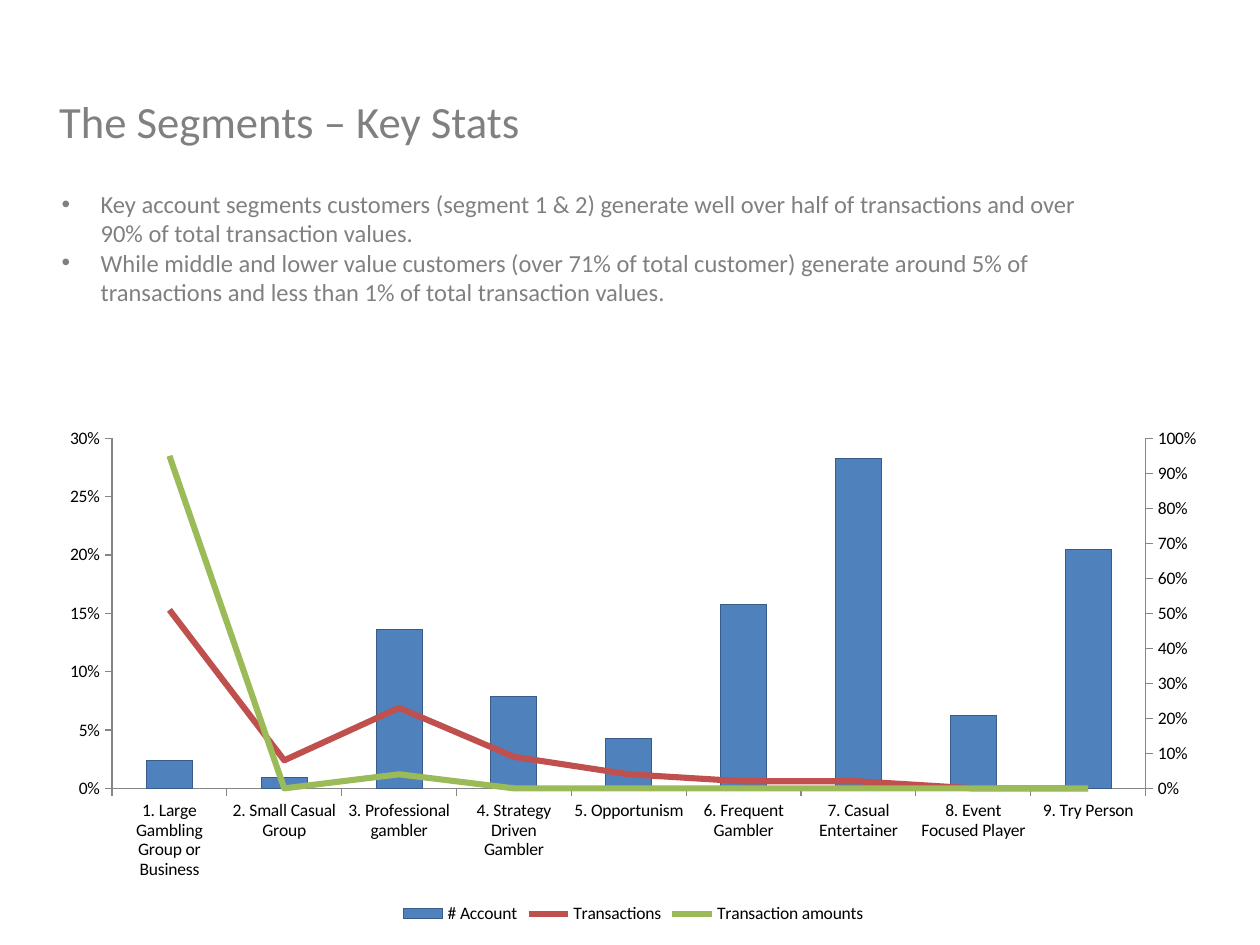
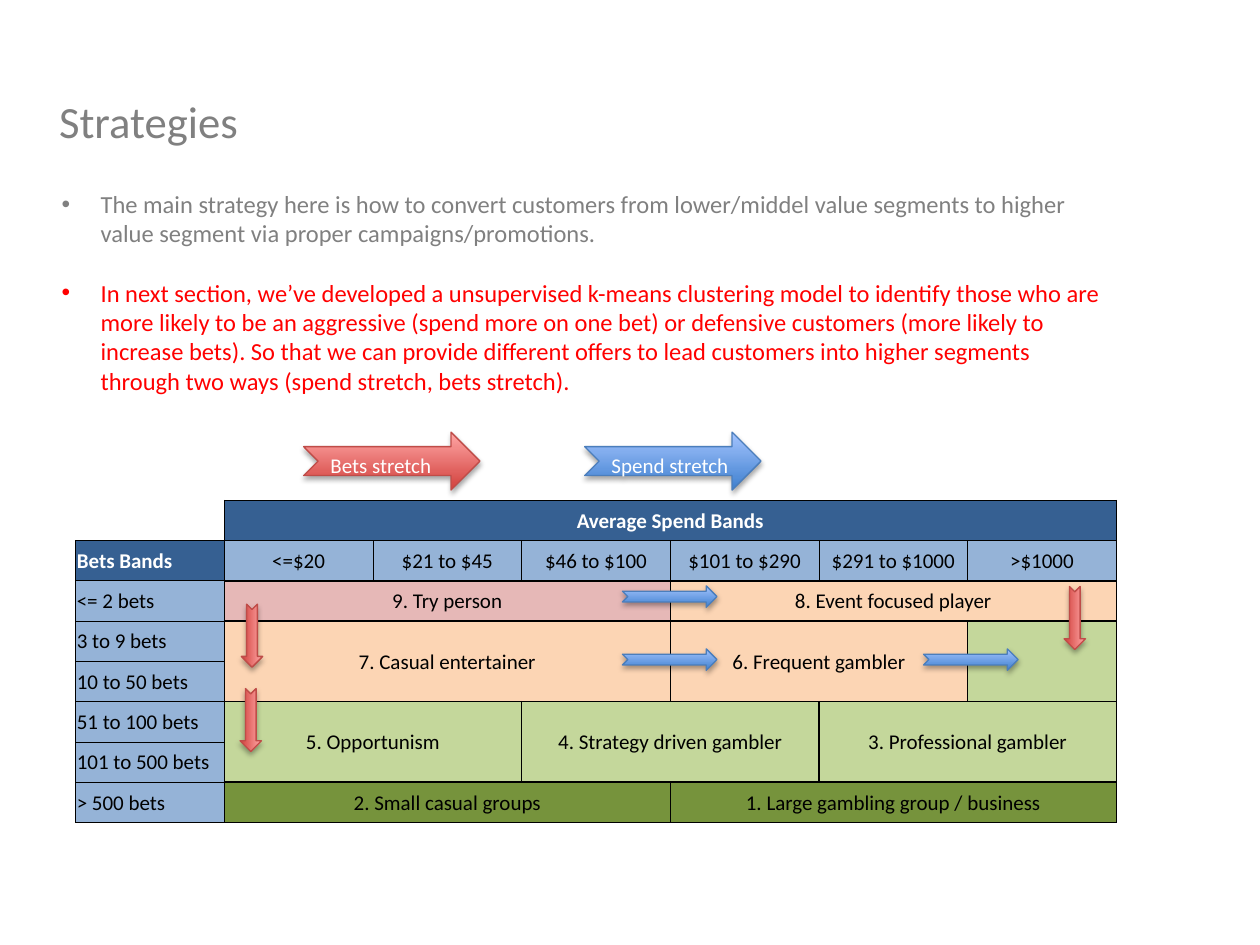
from dataclasses import dataclass

from lxml import etree
from pptx import Presentation
from pptx.chart.data import CategoryChartData
from pptx.dml.color import RGBColor
from pptx.enum.chart import XL_CHART_TYPE, XL_LEGEND_POSITION, XL_MARKER_STYLE, XL_TICK_MARK
from pptx.enum.shapes import MSO_SHAPE
from pptx.enum.text import MSO_ANCHOR, MSO_AUTO_SIZE, PP_ALIGN
from pptx.oxml import parse_xml
from pptx.oxml.ns import nsdecls, qn
from pptx.util import Inches, Pt

COLUMNS = XL_CHART_TYPE.COLUMN_CLUSTERED
BOTTOM = XL_LEGEND_POSITION.BOTTOM
NO_MARKER = XL_MARKER_STYLE.NONE
TICK_OUT, TICK_NONE = XL_TICK_MARK.OUTSIDE, XL_TICK_MARK.NONE
ARROW = MSO_SHAPE.NOTCHED_RIGHT_ARROW
TOP, MIDDLE = MSO_ANCHOR.TOP, MSO_ANCHOR.MIDDLE
GROW = MSO_AUTO_SIZE.SHAPE_TO_FIT_TEXT
LEFT, CENTER = PP_ALIGN.LEFT, PP_ALIGN.CENTER


@dataclass(frozen=True)
class Theme:
    font: str = "Calibri"
    title_size: int = 44
    body_size: int = 14
    table_size: int = 12
    chart_size: int = 10
    grey: str = "808080"
    red: str = "FF0000"
    black: str = "000000"
    white: str = "FFFFFF"
    axis: str = "868686"
    bar: str = "4F81BD"
    bar_edge: str = "385D8A"
    line_colors: tuple = ("C0504D", "9BBB59")
    header: str = "366092"
    label: str = "95B3D7"
    pink: str = "E6B8B7"
    peach: str = "FCD5B4"
    light_green: str = "C4D79B"
    green: str = "76933C"
    bets_arrow: tuple = ("D1403C", "FFA6A5", "BF4C48")
    spend_arrow: tuple = ("3F80CE", "A4C4FF", "4B7EBC")


THEME = Theme()

SEGMENTS = ["1. Large Gambling Group or Business", "2. Small Casual Group",
            "3. Professional gambler", "4. Strategy Driven Gambler",
            "5. Opportunism", "6. Frequent Gambler", "7. Casual Entertainer",
            "8. Event Focused Player", "9. Try Person"]
STATS = {
    "# Account": (0.024, 0.009, 0.136, 0.079, 0.043, 0.158, 0.283, 0.062, 0.205),
    "Transactions": (0.51, 0.08, 0.23, 0.09, 0.04, 0.02, 0.02, 0, 0),
    "Transaction amounts": (0.95, 0, 0.04, 0, 0, 0, 0, 0, 0),
}
SPEND_BANDS = ["<=$20", "$21 to $45", "$46 to $100", "$101 to $290", "$291 to $1000", ">$1000"]
BETS_BANDS = ["<= 2 bets", "3 to 9 bets", "10 to 50 bets", "51 to 100 bets",
              "101 to 500 bets", "> 500 bets"]
SEGMENT_CELLS = [
    (2, 1, 1, 3, "9. Try person", THEME.pink),
    (2, 4, 1, 3, "8. Event focused player", THEME.peach),
    (3, 1, 2, 3, "7. Casual entertainer", THEME.peach),
    (3, 4, 2, 2, "6. Frequent gambler", THEME.peach),
    (3, 6, 2, 1, "", THEME.light_green),
    (5, 1, 2, 2, "5. Opportunism", THEME.light_green),
    (5, 3, 2, 2, "4. Strategy driven gambler", THEME.light_green),
    (5, 5, 2, 2, "3. Professional gambler", THEME.light_green),
    (7, 1, 1, 3, "2. Small casual groups", THEME.green),
    (7, 4, 1, 3, "1. Large gambling group / business", THEME.green),
]


def rgb(color):
    return RGBColor.from_string(color)


def set_font(font, size, color, bold=False):
    font.name = THEME.font
    font.size = Pt(size)
    font.bold = bold
    font.color.rgb = rgb(color)


def add_text_box(page, left, top, width, height):
    box = page.shapes.add_textbox(Inches(left), Inches(top), Inches(width), Inches(height))
    box.text_frame.word_wrap = True
    return box.text_frame


def add_title(page, text):
    para = add_text_box(page, 0.37, 0.62, 6.39, 0.43).paragraphs[0]
    span = para.add_run()
    span.text = text
    span._r.get_or_add_rPr().set("baseline", "30000")
    set_font(para.font, THEME.title_size, THEME.grey)


def add_bullets(page, height, items, gap=0):
    frame = add_text_box(page, 0.39, 1.45, 8.48, height)
    frame.auto_size = GROW
    for index, (text, color) in enumerate(items):
        para = frame.add_paragraph() if index else frame.paragraphs[0]
        para.text = text
        properties = para._p.get_or_add_pPr()
        properties.set("marL", str(Inches(0.31)))
        properties.set("indent", str(-Inches(0.31)))
        etree.SubElement(properties, qn("a:buFont")).set("typeface", "Arial")
        etree.SubElement(properties, qn("a:buChar")).set("char", "•")
        para.space_before = Pt(gap if index else 0)
        set_font(para.font, THEME.body_size, color)


def style_axis(axis):
    axis.has_major_gridlines = False
    axis.major_tick_mark = TICK_OUT
    axis.minor_tick_mark = TICK_NONE
    axis.format.line.color.rgb = rgb(THEME.axis)


def move_lines_to_right_axis(chart):
    plot_area = chart._chartSpace.chart.plotArea
    bars = plot_area.find(qn("c:barChart"))
    lines = parse_xml(
        f'<c:lineChart {nsdecls("c")}><c:grouping val="standard"/><c:varyColors val="0"/>'
        '<c:marker val="1"/><c:axId val="5001"/><c:axId val="5002"/></c:lineChart>')
    line_marker = lines.find(qn("c:marker"))
    for series in bars.findall(qn("c:ser"))[1:]:
        for bar_setting in series.findall(qn("c:invertIfNegative")):
            series.remove(bar_setting)
        line_marker.addprevious(series)
    bars.addnext(lines)
    last_axis = plot_area.find(qn("c:valAx"))
    hidden = (
        f'<c:catAx {nsdecls("c")}><c:axId val="5001"/><c:scaling><c:orientation val="minMax"/>'
        '</c:scaling><c:delete val="1"/><c:axPos val="b"/><c:crossAx val="5002"/>'
        '<c:crosses val="autoZero"/></c:catAx>')
    right = (
        f'<c:valAx {nsdecls("c", "a")}><c:axId val="5002"/><c:scaling>'
        '<c:orientation val="minMax"/></c:scaling><c:delete val="0"/><c:axPos val="r"/>'
        '<c:numFmt formatCode="0%" sourceLinked="0"/><c:majorTickMark val="out"/>'
        '<c:minorTickMark val="none"/><c:tickLblPos val="nextTo"/><c:spPr><a:ln><a:solidFill>'
        f'<a:srgbClr val="{THEME.axis}"/></a:solidFill></a:ln></c:spPr>'
        '<c:crossAx val="5001"/><c:crosses val="max"/></c:valAx>')
    for axis in (right, hidden):
        last_axis.addnext(parse_xml(axis))


def add_stats_chart(page):
    data = CategoryChartData(number_format="0%")
    data.categories = SEGMENTS
    for name, values in STATS.items():
        data.add_series(name, values)
    chart = page.shapes.add_chart(COLUMNS, Inches(0.37), Inches(3.32), Inches(9.31),
                                  Inches(4.05), data).chart
    set_font(chart.font, THEME.chart_size, THEME.black)
    chart.has_title = False
    chart.has_legend = True
    chart.legend.position = BOTTOM
    chart.legend.include_in_layout = False
    style_axis(chart.category_axis)
    style_axis(chart.value_axis)
    chart.value_axis.tick_labels.number_format = "0%"
    chart.value_axis.tick_labels.number_format_is_linked = False
    move_lines_to_right_axis(chart)

    bars, lines = chart.plots
    bars.gap_width = 150
    bars.vary_by_categories = False
    bar_format = bars.series[0].format
    bar_format.fill.solid()
    bar_format.fill.fore_color.rgb = rgb(THEME.bar)
    bar_format.line.color.rgb = rgb(THEME.bar_edge)
    for series, color in zip(lines.series, THEME.line_colors):
        series.smooth = False
        series.marker.style = NO_MARKER
        series.format.line.width = Pt(3.5)
        series.format.line.color.rgb = rgb(color)


def set_borders(cell, width, sides):
    properties = cell._tc.get_or_add_tcPr()
    for index, side in enumerate(sides):
        properties.insert(index, parse_xml(
            f'<a:ln{side} {nsdecls("a")} w="{Pt(width)}"><a:solidFill>'
            f'<a:srgbClr val="{THEME.black}"/></a:solidFill></a:ln{side}>'))


def prepare_cell(cell):
    cell.margin_left = cell.margin_right = cell.margin_top = Inches(0.01)
    cell.margin_bottom = 0
    cell.vertical_anchor = MIDDLE
    cell.fill.background()


def fill_cells(table, row, column, rows, columns, text, fill, align=CENTER,
               color=THEME.black, bold=False, border=0.5):
    origin = table.cell(row, column)
    for down in range(rows):
        for across in range(columns):
            cell = table.cell(row + down, column + across)
            cell.fill.solid()
            cell.fill.fore_color.rgb = rgb(fill)
            set_borders(cell, border, "LRTB")
    if rows * columns > 1:
        origin.merge(table.cell(row + rows - 1, column + columns - 1))
    para = origin.text_frame.paragraphs[0]
    if text:
        para.text = text
    para.alignment = align
    set_font(para.font, THEME.table_size, color, bold)


def add_band_table(page):
    table = page.shapes.add_table(8, 7, Inches(0.6), Inches(3.97), Inches(8.26),
                                  Inches(2.56)).table
    table.first_row = table.horz_banding = False
    for column in table.columns:
        column.width = Inches(1.18)
    for row in table.rows:
        row.height = Inches(0.32)
    for cell in table.iter_cells():
        prepare_cell(cell)
    set_borders(table.cell(0, 0), 0.5, "RB")
    fill_cells(table, 0, 1, 1, 6, "Average Spend Bands", THEME.header,
               color=THEME.white, bold=True)
    fill_cells(table, 1, 0, 1, 1, "Bets Bands", THEME.header, LEFT, THEME.white, True)
    for column, text in enumerate(SPEND_BANDS, 1):
        fill_cells(table, 1, column, 1, 1, text, THEME.label)
    for row, text in enumerate(BETS_BANDS, 2):
        fill_cells(table, row, 0, 1, 1, text, THEME.label, LEFT)
    for segment in SEGMENT_CELLS:
        fill_cells(table, *segment, border=1)


def add_arrow(page, left, top, width, height, colors, rotation=0, text=""):
    arrow = page.shapes.add_shape(ARROW, Inches(left), Inches(top), Inches(width),
                                  Inches(height))
    arrow.rotation = rotation
    dark, light, edge = colors
    arrow.fill.gradient()
    arrow.fill.gradient_angle = 90
    for stop, color in zip(arrow.fill.gradient_stops, (dark, light)):
        stop.color.rgb = rgb(color)
    arrow.line.color.rgb = rgb(edge)
    arrow.line.width = Pt(0.75)
    arrow.shadow.inherit = False
    arrow._element.spPr.find(qn("a:effectLst")).append(parse_xml(
        f'<a:outerShdw {nsdecls("a")} blurRad="{Pt(3.1)}" dist="{Pt(1.8)}" dir="5400000" '
        f'rotWithShape="0"><a:srgbClr val="{THEME.black}"><a:alpha val="35000"/>'
        '</a:srgbClr></a:outerShdw>'))
    if text:
        arrow.text_frame.vertical_anchor = TOP
        para = arrow.text_frame.paragraphs[0]
        para.text = text
        para.alignment = LEFT
        set_font(para.font, THEME.table_size, THEME.white)


def build_stats_page(page):
    add_title(page, "The Segments – Key Stats")
    add_stats_chart(page)
    add_bullets(page, 1.28, [
        ("Key account segments customers (segment 1 & 2) generate well over half of "
         "transactions and over 90% of total transaction values.", THEME.grey),
        ("While middle and lower value customers (over 71% of total customer) generate around "
         "5% of transactions and less than 1% of total transaction values.", THEME.grey)])


def build_strategies_page(page):
    add_title(page, "Strategies")
    add_bullets(page, 1.99, [
        ("The main strategy here is how to convert customers from lower/middel value segments "
         "to higher value segment via proper campaigns/promotions.", THEME.grey),
        ("In next section, we’ve developed a unsupervised k-means clustering model to identify "
         "those who are more likely to be an aggressive (spend more on one bet) or defensive "
         "customers (more likely to increase bets). So that we can provide different offers to "
         "lead customers into higher segments through two ways (spend stretch, bets stretch).",
         THEME.red)], gap=17)
    add_band_table(page)
    for left, top in ((4.94, 4.65), (4.94, 5.15), (7.33, 5.15)):
        add_arrow(page, left, top, 0.75, 0.17, THEME.spend_arrow)
    for left, top in ((8.28, 4.82), (1.75, 4.96), (1.74, 5.63)):
        add_arrow(page, left, top, 0.5, 0.17, THEME.bets_arrow, rotation=90)
    add_arrow(page, 2.41, 3.43, 1.4, 0.46, THEME.bets_arrow, text="Bets stretch")
    add_arrow(page, 4.64, 3.43, 1.4, 0.46, THEME.spend_arrow, text="Spend stretch")


def main():
    deck = Presentation()
    deck.slide_width, deck.slide_height = Inches(10), Inches(7.5)
    for build in (build_stats_page, build_strategies_page):
        build(deck.slides.add_slide(deck.slide_layouts[6]))
    deck.save("out.pptx")


main()
